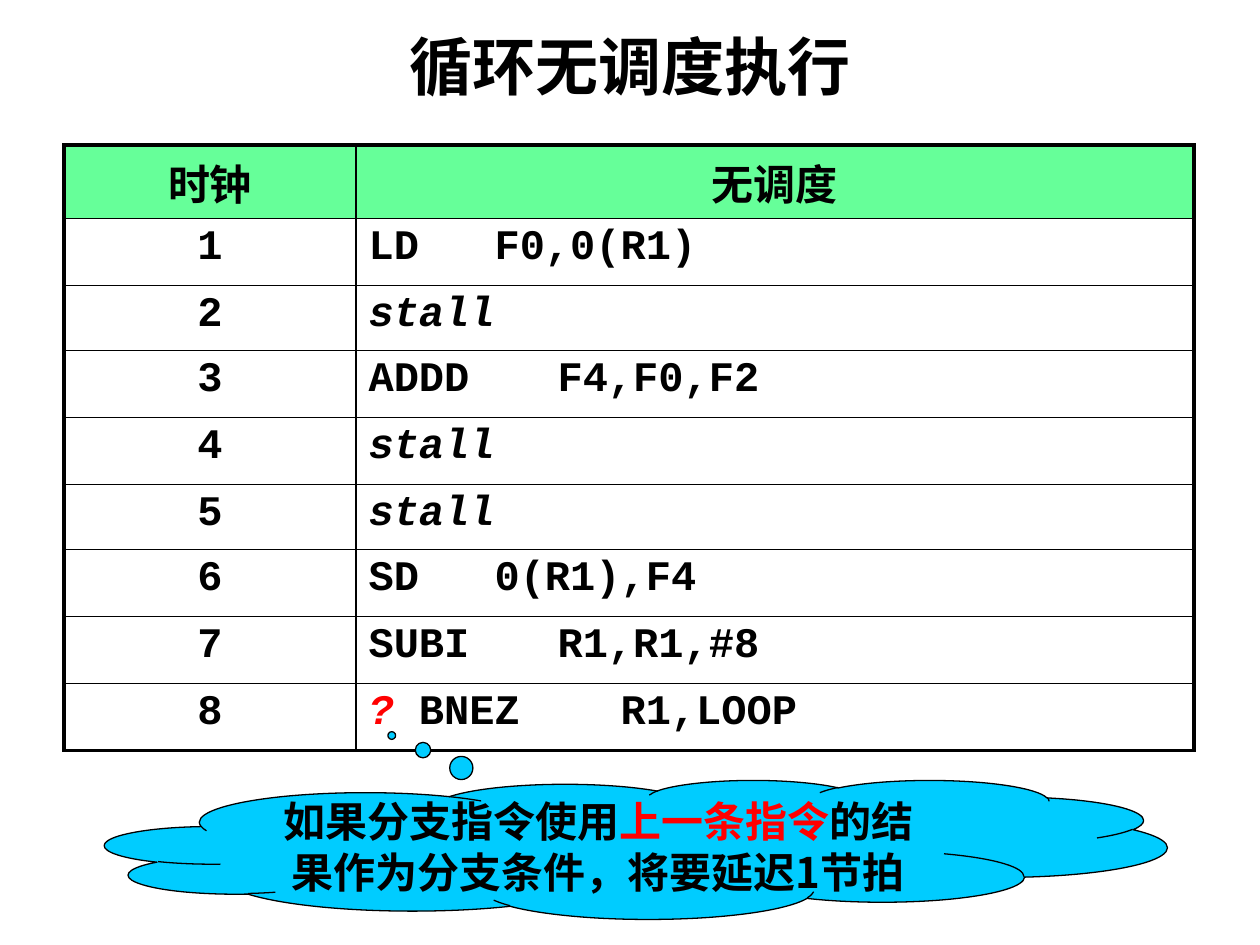
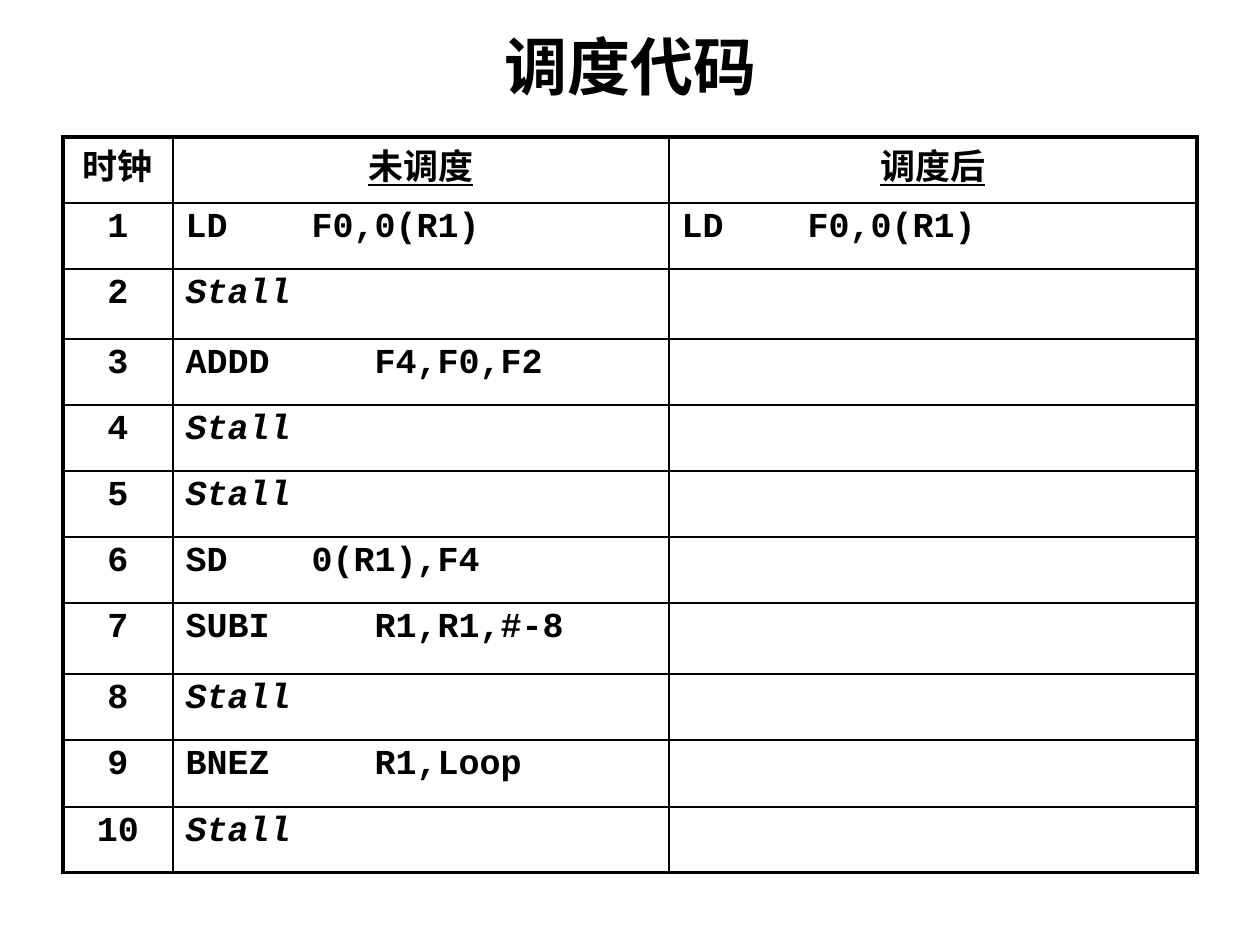
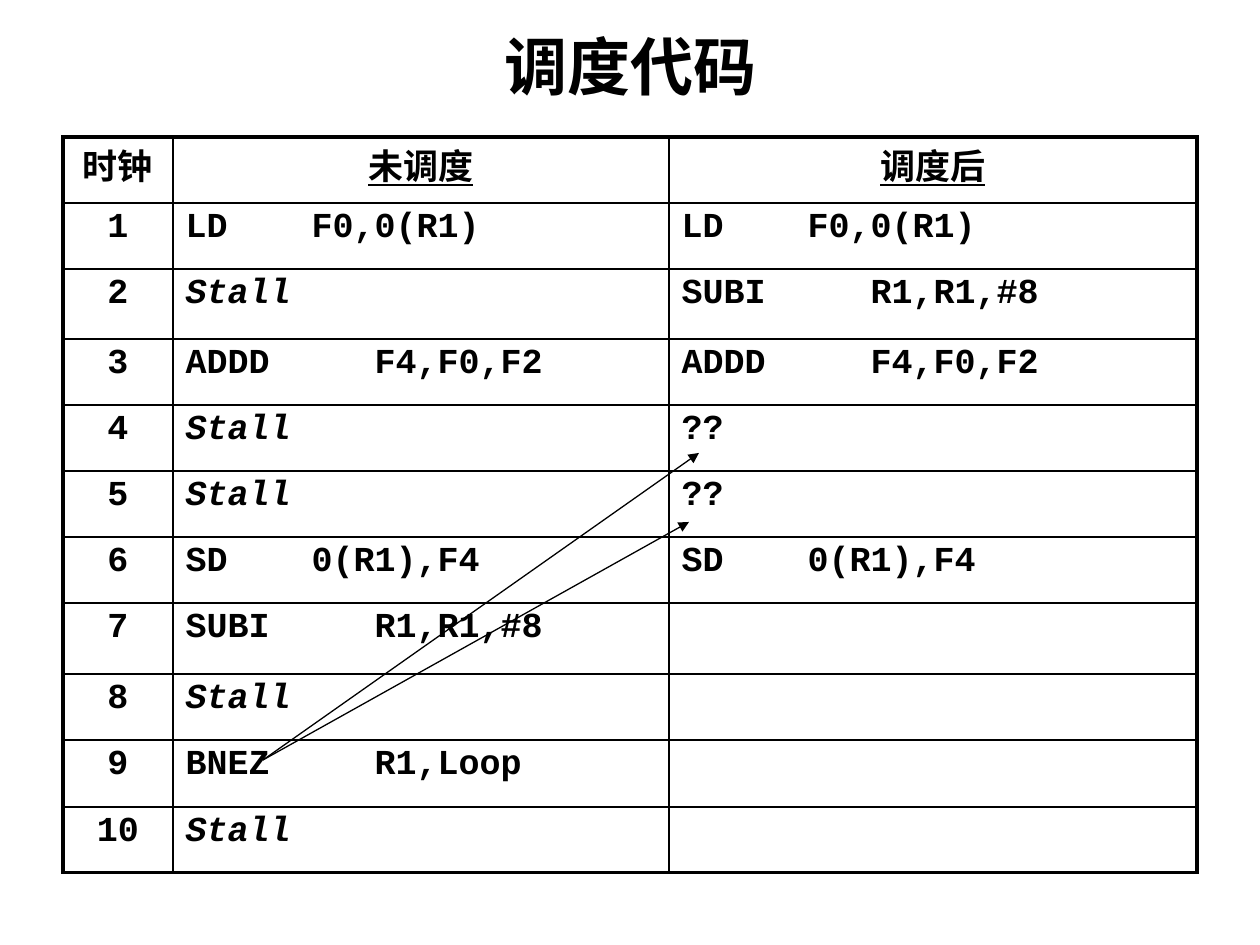
"""Build three slides on loop execution without and with instruction scheduling."""
from dataclasses import dataclass
from typing import Any, Sequence, Union

from lxml import etree
from pptx import Presentation
from pptx import util as u
from pptx.dml.color import RGBColor
from pptx.enum import shapes, text
from pptx.oxml import ns

PX_PER_INCH = 126
COLORS = {"ink": "000000", "alert": "FF0000", "header": "66FF99", "cloud": "00CCFF"}
CJK_FONT = "Noto Sans CJK SC"
CODE_FONT = "Courier New"
OUTER_LINE, INNER_LINE = 2.25, 1
CENTER = text.PP_ALIGN.CENTER


@dataclass(frozen=True)
class Span:
    words: str
    color: str = "ink"
    italic: bool = False
    underline: bool = False


Content = Union[str, Sequence[Span]]


@dataclass(frozen=True)
class Grid:
    left: int
    top: int
    columns: Sequence[int]
    heights: Sequence[int]
    size: int
    line_spacing: float = 1.0
    header_fill: str = ""


@dataclass(frozen=True)
class Arrow:
    start: tuple[int, int]
    end: tuple[int, int]


PLAIN_GRID = Grid(64, 145, (292, 838), (67, 67, 65, 67, 67, 65, 67, 67, 67), 24,
                  header_fill="header")
COMPARE_GRID = Grid(63, 137, (110, 496, 528),
                    (66, 66, 70, 66, 66, 66, 66, 71, 66, 67, 66), 20, 0.9)
COMPARE_HEADER = ("时钟", [Span("未调度", underline=True)], [Span("调度后", underline=True)])
PLAIN_CODE = ("LD\t\tF0,0(R1)", "stall", "ADDD\t\tF4,F0,F2", "stall", "stall",
              "SD\t\t0(R1),F4", "SUBI\t\tR1,R1,#8",
              [Span("? ", "alert", italic=True), Span("BNEZ\t\tR1,LOOP")])
SCHEDULED = ("LD\t\tF0,0(R1)", "SUBI\t\tR1,R1,#8", "ADDD\t\tF4,F0,F2", "??", "??",
             "SD\t\t0(R1),F4")
BNEZ_POINT = (263, 760)
ARROWS = (Arrow(BNEZ_POINT, (689, 522)), Arrow(BNEZ_POINT, (699, 453)))


def px(length: int) -> int:
    """Turn pixels into EMU."""
    return round(length * 914400 / PX_PER_INCH)


def rgb(name: str) -> RGBColor:
    """Look up a named colour."""
    return RGBColor.from_string(COLORS[name])


def assign(target: Any, values: dict[str, Any]) -> None:
    """Set each attribute from a dict of format values."""
    for name, value in values.items():
        setattr(target, name, value)


def write(para: Any, content: Content, size: int, font: str) -> None:
    """Fill a paragraph with bold spans."""
    spans = [Span(content, italic=content.lower() == "stall")] if isinstance(content, str) else content
    for span in spans:
        run = para.add_run()
        run.text = span.words
        assign(run.font, {"name": font, "size": u.Pt(size), "bold": True,
                          "italic": span.italic, "underline": span.underline})
        run.font.color.rgb = rgb(span.color)
        latin = run.font._element.find(ns.qn("a:latin"))
        east_asian = etree.Element(ns.qn("a:ea"), typeface=CJK_FONT)
        latin.addnext(east_asian)


def add_page(deck: Any, title: str, font: str = "Calibri") -> Any:
    """Add a title-only slide with its title formatted."""
    page = deck.slides.add_slide(deck.slide_layouts[5])
    box = page.shapes.title
    assign(box, {"left": px(63), "top": px(-14), "width": px(1134), "height": px(158)})
    box.text_frame.vertical_anchor = text.MSO_ANCHOR.MIDDLE
    para = box.text_frame.paragraphs[0]
    para.alignment = CENTER
    write(para, title, 36, font)
    return page


def draw_border(cell: Any, side: str, width: float) -> None:
    """Draw one side of a cell."""
    line = etree.SubElement(cell._tc.get_or_add_tcPr(), ns.qn(f"a:ln{side}"),
                            w=str(u.Pt(width)))
    fill = etree.SubElement(line, ns.qn("a:solidFill"))
    etree.SubElement(fill, ns.qn("a:srgbClr"), val=COLORS["ink"])


def add_grid(page: Any, grid: Grid, rows: Sequence[Sequence[Content]]) -> None:
    """Add a ruled table with a header row and a centred clock column."""
    frame = page.shapes.add_table(len(rows), len(grid.columns), px(grid.left), px(grid.top),
                                  px(sum(grid.columns)), px(sum(grid.heights)))
    table = frame.table
    assign(table, {"first_row": False, "horz_banding": False})
    for column, width in zip(table.columns, grid.columns):
        column.width = px(width)
    for row, height in zip(table.rows, grid.heights):
        row.height = px(height)
    last_row, last_column = len(rows) - 1, len(grid.columns) - 1
    for r, contents in enumerate(rows):
        for c, content in enumerate(contents):
            cell = table.cell(r, c)
            edges = {"L": c == 0, "R": c == last_column, "T": r == 0, "B": r == last_row}
            for side, is_outer in edges.items():
                draw_border(cell, side, OUTER_LINE if is_outer else INNER_LINE)
            if r == 0 and grid.header_fill:
                cell.fill.solid()
                cell.fill.fore_color.rgb = rgb(grid.header_fill)
            else:
                cell.fill.background()
            para = cell.text_frame.paragraphs[0]
            centred = r == 0 or c == 0
            assign(para, {"alignment": CENTER if centred else text.PP_ALIGN.LEFT,
                          "line_spacing": grid.line_spacing})
            if content:
                write(para, content, grid.size, CODE_FONT)


def add_cloud(page: Any, spans: Sequence[Span]) -> None:
    """Add the thought cloud pointing at the branch instruction."""
    cloud = page.shapes.add_shape(shapes.MSO_SHAPE.CLOUD_CALLOUT,
                                  px(105), px(780), px(1062), px(139))
    cloud.adjustments[0], cloud.adjustments[1] = -0.23, -0.82
    cloud.shadow.inherit = False
    cloud.fill.solid()
    cloud.fill.fore_color.rgb = rgb("cloud")
    cloud.line.color.rgb = rgb("ink")
    cloud.line.width = u.Pt(0.75)
    assign(cloud.text_frame, {"word_wrap": True, "vertical_anchor": text.MSO_ANCHOR.MIDDLE})
    para = cloud.text_frame.paragraphs[0]
    para.alignment = CENTER
    write(para, spans, 24, CJK_FONT)


def add_arrow(page: Any, arrow: Arrow) -> None:
    """Add a straight line with a triangle at its end."""
    points = [px(value) for value in (*arrow.start, *arrow.end)]
    connector = page.shapes.add_connector(shapes.MSO_CONNECTOR.STRAIGHT, *points)
    connector.line.color.rgb = rgb("ink")
    connector.line.width = u.Pt(0.75)
    etree.SubElement(connector.line._get_or_add_ln(), ns.qn("a:tailEnd"), type="triangle")
    etree.SubElement(connector._element.spPr, ns.qn("a:effectLst"))


def unscheduled(subi_operand: str) -> list[str]:
    """List the ten clocks of the loop before scheduling."""
    return ["LD\t\tF0,0(R1)", "Stall", "ADDD\t\tF4,F0,F2", "Stall", "Stall",
            "SD\t\t0(R1),F4", f"SUBI\t\tR1,R1,{subi_operand}", "Stall",
            "BNEZ\t\tR1,Loop", "Stall"]


def compare_rows(subi_operand: str, scheduled: Sequence[str]) -> list[Sequence[Content]]:
    """Pair each clock with its code before and after scheduling."""
    before = unscheduled(subi_operand)
    after = [*scheduled, *[""] * (len(before) - len(scheduled))]
    clocks = [str(clock) for clock in range(1, len(before) + 1)]
    return [COMPARE_HEADER, *zip(clocks, before, after)]


def main() -> None:
    """Build and save the deck."""
    deck = Presentation()
    assign(deck, {"slide_width": px(1260), "slide_height": px(945)})

    page = add_page(deck, "循环无调度执行")
    numbered = [(str(clock), code) for clock, code in enumerate(PLAIN_CODE, 1)]
    add_grid(page, PLAIN_GRID, [("时钟", "无调度"), *numbered])
    add_cloud(page, [Span("如果分支指令使用"), Span("上一条指令", "alert"),
                     Span("的结果作为分支条件，将要延迟1节拍")])

    page = add_page(deck, "调度代码")
    add_grid(page, COMPARE_GRID, compare_rows("#-8", SCHEDULED[:1]))

    page = add_page(deck, "调度代码", "Arial")
    add_grid(page, COMPARE_GRID, compare_rows("#8", SCHEDULED))
    for arrow in ARROWS:
        add_arrow(page, arrow)

    deck.save("out.pptx")


if __name__ == "__main__":
    main()
